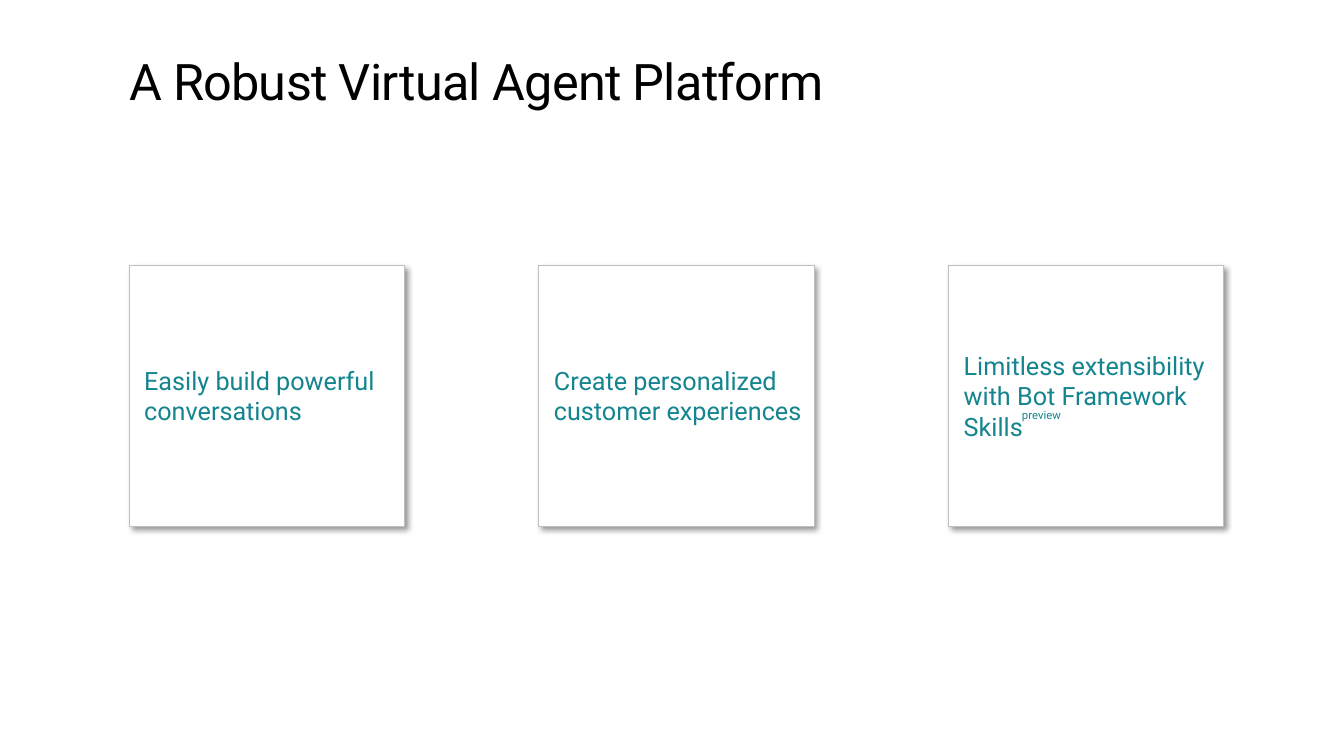
from lxml import etree
from pptx import Presentation
from pptx.dml.color import RGBColor
from pptx.enum.shapes import MSO_SHAPE
from pptx.enum.text import MSO_ANCHOR, PP_ALIGN
from pptx.oxml.ns import qn
from pptx.util import Pt

RECTANGLE = MSO_SHAPE.RECTANGLE
MIDDLE = MSO_ANCHOR.MIDDLE
LEFT = PP_ALIGN.LEFT

FONT = "Roboto"
COLORS = {"title": "000000", "teal": "14848F", "card": "FFFFFF",
          "border": "BFBFBF", "shadow": "000000"}

CARD_LEFT, CARD_TOP = 92.2, 189.4
CARD_WIDTH, CARD_HEIGHT = 196.6, 186.5
CARD_PITCH = 292.7
BENEFITS = [
    ("Easily build powerful conversations", None),
    ("Create personalized customer experiences", None),
    ("Limitless extensibility with Bot Framework Skills", "preview"),
]


def color(name):
    return RGBColor.from_string(COLORS[name])


def add_run(paragraph, text, size, color_name):
    run = paragraph.add_run()
    run.text = text
    run.font.name = FONT
    run.font.size = Pt(size)
    run.font.color.rgb = color(color_name)
    return run


def set_margins(frame, left, top, right, bottom):
    frame.margin_left, frame.margin_top = Pt(left), Pt(top)
    frame.margin_right, frame.margin_bottom = Pt(right), Pt(bottom)


def add_shadow(shape, blur, distance, angle, opacity):
    shape.shadow.inherit = False
    effects = shape._element.spPr.find(qn("a:effectLst"))
    shadow = etree.SubElement(
        effects, qn("a:outerShdw"), blurRad=str(Pt(blur)), dist=str(Pt(distance)),
        dir=str(angle * 60000), algn="tl", rotWithShape="0")
    tint = etree.SubElement(shadow, qn("a:srgbClr"), val=COLORS["shadow"])
    etree.SubElement(tint, qn("a:alpha"), val=str(opacity * 1000))


def add_title(slide, left, top, width, height):
    title = slide.shapes.add_textbox(Pt(left), Pt(top), Pt(width), Pt(height))
    frame = title.text_frame
    frame.word_wrap = True
    set_margins(frame, 0, 0, 0, 0)
    run = add_run(frame.paragraphs[0], "A Robust Virtual Agent Platform", 36, "title")
    run.font._element.set("spc", "-50")


def add_superscript(slide, text, left, top, width, height):
    label = slide.shapes.add_textbox(Pt(left), Pt(top), Pt(width), Pt(height))
    run = add_run(label.text_frame.paragraphs[0], text, 14, "teal")
    run.font._element.set("baseline", "30000")


def add_card(slide, benefit, superscript, left, top, width, height):
    card = slide.shapes.add_shape(RECTANGLE, Pt(left), Pt(top), Pt(width), Pt(height))
    card.fill.solid()
    card.fill.fore_color.rgb = color("card")
    card.line.color.rgb = color("border")
    card.line.width = Pt(0.5)
    add_shadow(card, blur=4, distance=3, angle=45, opacity=40)

    # Benefit text
    frame = card.text_frame
    frame.word_wrap = True
    frame.vertical_anchor = MIDDLE
    set_margins(frame, 10.8, 3.6, 7.2, 3.6)
    paragraph = frame.paragraphs[0]
    paragraph.alignment = LEFT
    paragraph.space_after = Pt(2.9)
    add_run(paragraph, benefit, 18, "teal")

    # Release status beside the last word
    if superscript:
        add_superscript(slide, superscript, left + 45.3, top + 97.2, 46.8, 24.5)


def main():
    deck = Presentation()
    deck.slide_width, deck.slide_height = Pt(960), Pt(540)
    slide = deck.slides.add_slide(deck.slide_layouts[6])
    add_title(slide, CARD_LEFT, 36, 867.6, 43.9)
    for column, (benefit, superscript) in enumerate(BENEFITS):
        add_card(slide, benefit, superscript, CARD_LEFT + column * CARD_PITCH,
                 CARD_TOP, CARD_WIDTH, CARD_HEIGHT)
    deck.save("out.pptx")


if __name__ == "__main__":
    main()
